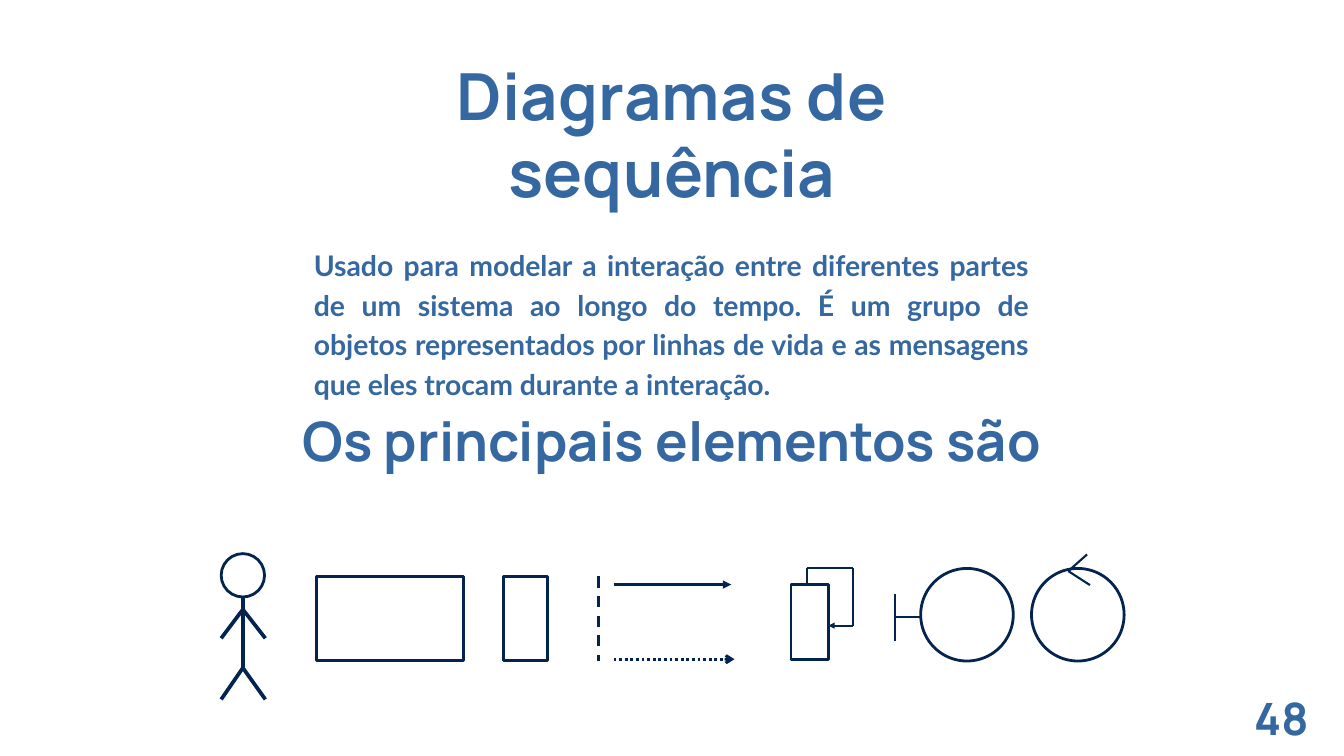
from dataclasses import dataclass

import pptx
import pptx.dml.color
import pptx.enum.dml
import pptx.enum.shapes
import pptx.enum.text
import pptx.oxml
import pptx.oxml.ns
import pptx.util
from pptx.util import Cm

SHAPE = pptx.enum.shapes.MSO_SHAPE
ALIGN = pptx.enum.text.PP_ALIGN
DASH = pptx.enum.dml.MSO_LINE


@dataclass(frozen=True)
class Theme:
    text: str = "3567A1"
    ink: str = "02244E"
    paper: str = "FFFFFF"
    display: str = "Manrope"
    body: str = "Lato"
    title_size: float = 69.6
    heading_size: float = 58.2
    body_size: float = 30.4
    number_size: float = 47.7
    thin: float = 2.25
    medium: float = 3
    thick: float = 4


THEME = Theme()


def rgb(value):
    return pptx.dml.color.RGBColor.from_string(value)


def add_text(page, box, words, size, font, leading, align, spacing=0):
    left, top, width, height = (Cm(value) for value in box)
    frame = page.shapes.add_textbox(left, top, width, height).text_frame
    frame.margin_left = frame.margin_top = frame.margin_right = frame.margin_bottom = 0
    frame.word_wrap = True
    frame.text = words
    para = frame.paragraphs[0]
    para.alignment = align
    para.line_spacing = pptx.util.Pt(leading)
    span = para.runs[0]
    span.font.name = font
    span.font.size = pptx.util.Pt(size)
    span.font.bold = True
    span.font.color.rgb = rgb(THEME.text)
    if spacing:
        span._r.get_or_add_rPr().set("spc", str(spacing))


def add_outline(page, kind, left, top, width, height):
    shape = page.shapes.add_shape(kind, Cm(left), Cm(top), Cm(width), Cm(height))
    shape.shadow.inherit = False
    shape.fill.solid()
    shape.fill.fore_color.rgb = rgb(THEME.paper)
    shape.line.color.rgb = rgb(THEME.ink)
    shape.line.width = pptx.util.Pt(THEME.medium)


def add_line(page, origin, start, end, weight, dash=None, arrow=None):
    """Draw a line between two points given relative to the origin."""
    x, y = origin
    line = page.shapes.add_connector(
        pptx.enum.shapes.MSO_CONNECTOR.STRAIGHT,
        Cm(x + start[0]), Cm(y + start[1]), Cm(x + end[0]), Cm(y + end[1]))
    line.line.color.rgb = rgb(THEME.ink)
    line.line.width = pptx.util.Pt(weight)
    if dash:
        line.line.dash_style = dash
    if arrow:
        tail = pptx.oxml.ns.qn("a:tailEnd")
        line.line._get_or_add_ln().makeelement(tail)
        pptx.oxml.xmlchemy.OxmlElement("a:tailEnd")
        end_mark = pptx.oxml.xmlchemy.OxmlElement("a:tailEnd")
        end_mark.set("type", arrow)
        line.line._get_or_add_ln().append(end_mark)
    line._element.spPr.append(pptx.oxml.xmlchemy.OxmlElement("a:effectLst"))


def add_actor(page, left, top):
    head, middle, width = 1.64, 0.82, 1.67
    add_outline(page, SHAPE.OVAL, left, top, head, head)
    shoulder, hip = (middle, 2.11), (middle, 4.32)
    limbs = [((middle, head), (middle, 4.4))]
    for joint, reach in ((shoulder, 3.2), (hip, 5.51)):
        limbs += [(joint, (side, reach)) for side in (0, width)]
    for start, end in limbs:
        add_line(page, (left, top), start, end, THEME.thick)


def add_messages(page, left, top):
    """Lifeline with a call and its dotted reply."""
    origin = (left, top)
    add_line(page, origin, (0, 0), (0, 3.18), THEME.medium, DASH.DASH)
    add_line(page, origin, (0.56, 0.31), (5.01, 0.31), THEME.medium, arrow="triangle")
    add_line(page, origin, (0.56, 3.13), (5.13, 3.13), THEME.medium,
             DASH.ROUND_DOT, "arrow")


def add_self_call(page, left, top):
    width = 1.41
    add_outline(page, SHAPE.RECTANGLE, left, top, width, 2.83)
    corners = [(0.6, 0.02), (0.6, -0.62), (2.34, -0.62), (2.34, 1.55), (width, 1.55)]
    legs = list(zip(corners, corners[1:]))
    for start, end in legs:
        arrow = "triangle" if end == corners[-1] else None
        add_line(page, (left, top), start, end, THEME.thin, arrow=arrow)


def add_boundary(page, left, top, size):
    add_outline(page, SHAPE.OVAL, left + 0.97, top, size, size)
    add_line(page, (left, top), (0, 0.95), (0, 2.75), THEME.thin)
    add_line(page, (left, top), (0, 1.83), (0.99, 1.83), THEME.thin)


def add_control(page, left, top, size):
    add_outline(page, SHAPE.OVAL, left, top, size, size)
    for end in ((2.1, -0.53), (2.21, 0.63)):
        add_line(page, (left, top), (1.39, 0.1), end, THEME.thin)


def add_elements(page, left, top):
    """Row of sequence diagram symbols."""
    bar_top, ring_top, ring = top + 0.86, top + 0.56, 3.5
    add_actor(page, left, top)
    for offset, width in ((3.6, 5.56), (10.66, 1.68)):
        add_outline(page, SHAPE.RECTANGLE, left + offset, bar_top, width, 3.19)
    add_messages(page, left + 14.27, bar_top)
    add_self_call(page, left + 21.54, top + 1.17)
    add_boundary(page, left + 25.47, ring_top, ring)
    add_control(page, left + 30.63, ring_top, ring)


def add_texts(page):
    add_text(page, (14.6, 2.16, 21.6, 5.97), "Diagramas de sequência",
             THEME.title_size, THEME.display, 82.1, ALIGN.CENTER, 30)
    add_text(page, (11.86, 9.17, 27.05, 5.87),
             "Usado para modelar a interação entre diferentes partes de um sistema "
             "ao longo do tempo. É um grupo de objetos representados por linhas de "
             "vida e as mensagens que eles trocam durante a interação.",
             THEME.body_size, THEME.body, 42.5, ALIGN.JUSTIFY)
    add_text(page, (10.28, 15.42, 30.25, 4.98), "Os principais elementos são",
             THEME.heading_size, THEME.display, 68.6, ALIGN.CENTER, 20)
    add_text(page, (47.4, 26.16, 2.87, 2.13), "48",
             THEME.number_size, THEME.display, 56.2, ALIGN.LEFT, 20)


def main():
    deck = pptx.Presentation()
    deck.slide_width, deck.slide_height = Cm(50.8), Cm(28.58)
    page = deck.slides.add_slide(deck.slide_layouts[6])
    add_texts(page)
    add_elements(page, 8.36, 20.93)
    deck.save("out.pptx")


if __name__ == "__main__":
    main()
